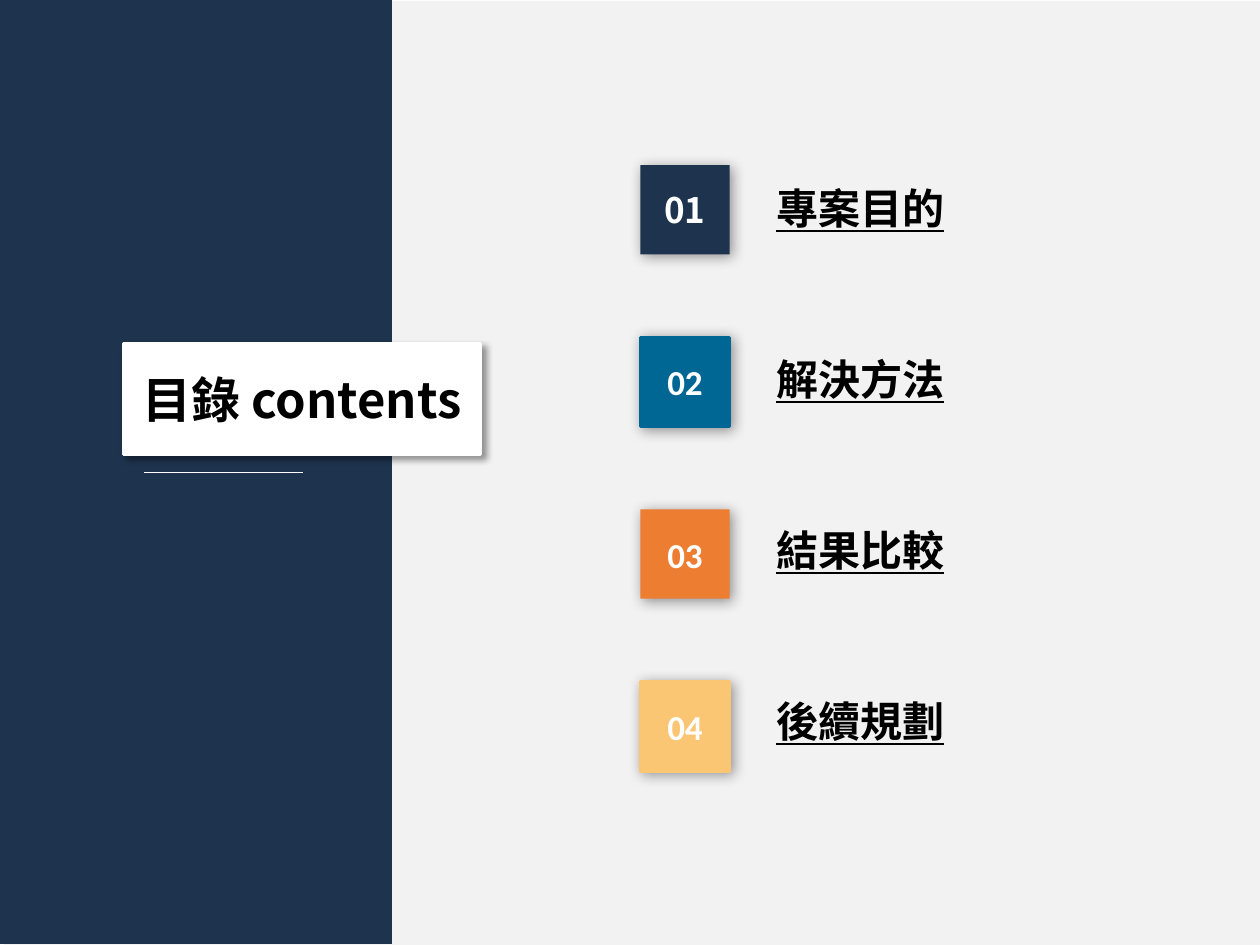
import pptx
import pptx.util
import pptx.dml.color
import pptx.enum.shapes
import pptx.enum.text
import pptx.oxml
import pptx.oxml.ns
from pptx.util import Cm

NAVY, WHITE, BLACK = "1E344E", "FFFFFF", "000000"
NOTO, CALIBRI = "Noto Sans CJK SC", "Calibri"
SHADE = (
    '<a:effectLst {ns}><a:outerShdw blurRad="{blur}" dist="{dist}" dir="2700000" '
    'algn="tl" rotWithShape="0"><a:srgbClr val="000000"><a:alpha val="40000"/>'
    "</a:srgbClr></a:outerShdw></a:effectLst>"
)


def color(code):
    return pptx.dml.color.RGBColor.from_string(code)


class Deck:
    def __init__(self):
        self.prs = pptx.Presentation()
        self.prs.slide_width, self.prs.slide_height = Cm(25.4), Cm(19.05)
        self.slide = self.prs.slides.add_slide(self.prs.slide_layouts[6])

    def style(self, frame, text, size, ink, font=NOTO, line=False):
        frame.text = text
        para = frame.paragraphs[0]
        para.alignment = pptx.enum.text.PP_ALIGN.CENTER
        run = para.runs[0]
        run.font.size, run.font.bold = pptx.util.Pt(size), True
        run.font.name, run.font.underline = font, line
        run.font.color.rgb = color(ink)
        # East Asian glyphs need their own font entry
        east = pptx.oxml.parse_xml(
            f'<a:ea {pptx.oxml.ns.nsdecls("a")} typeface="{NOTO}"/>')
        run.font._element.append(east)

    def rect(self, box, fill, edge=False):
        kind = pptx.enum.shapes.MSO_SHAPE.RECTANGLE
        shape = self.slide.shapes.add_shape(kind, *map(Cm, box))
        shape.shadow.inherit = False
        shape.fill.solid()
        shape.fill.fore_color.rgb = color(fill)
        if edge:
            shape.line.color.rgb = color(fill)
            shape.line.width = pptx.util.Pt(2)
        else:
            shape.line.fill.background()
        return shape

    def card(self, box, fill, text, size, ink, font, edge, blur, dist):
        shape = self.rect(box, fill, edge)
        props = shape._element.spPr
        props.remove(props.find(pptx.oxml.ns.qn("a:effectLst")))
        props.append(pptx.oxml.parse_xml(SHADE.format(
            ns=pptx.oxml.ns.nsdecls("a"),
            blur=pptx.util.Pt(blur), dist=pptx.util.Pt(dist))))
        shape.text_frame.vertical_anchor = pptx.enum.text.MSO_ANCHOR.MIDDLE
        self.style(shape.text_frame, text, size, ink, font)

    def label(self, box, text):
        frame = self.slide.shapes.add_textbox(*map(Cm, box)).text_frame
        frame.word_wrap = False
        self.style(frame, text, 24, BLACK, line=True)

    def rule(self, left, top, right):
        kind = pptx.enum.shapes.MSO_CONNECTOR.STRAIGHT
        line = self.slide.shapes.add_connector(
            kind, Cm(left), Cm(top), Cm(right), Cm(top))
        line.line.color.rgb = color(WHITE)
        line.line.width = pptx.util.Pt(0.75)
        line._element.spPr.append(pptx.oxml.parse_xml(
            f'<a:effectLst {pptx.oxml.ns.nsdecls("a")}/>'))


def main():
    deck = Deck()

    # Background panels
    deck.rect((0.08, 0.02, 25.4, 19.03), "F2F2F2")
    deck.rect((0, -0.02, 7.9, 19.05), NAVY)

    # Title card and rule
    deck.card((2.49, 6.93, 7.2, 2.23), WHITE, "目錄 contents",
              28, BLACK, NOTO, True, 4, 3)
    deck.rule(2.9, 9.52, 6.1)

    # Numbered topics
    topics = [
        ("專案目的", NAVY, NOTO, False),
        ("解決方法", "006794", CALIBRI, True),
        ("結果比較", "ED7D31", CALIBRI, False),
        ("後續規劃", "FAC674", CALIBRI, True),
    ]
    for i, (text, fill, font, edge) in enumerate(topics):
        deck.card((12.91, 3.33 + 3.47 * i, 1.8, 1.8), fill, f"{i + 1:02}",
                  20, WHITE, font, edge, 8, 2)
        deck.label((15.37, 3.55 + 3.45 * i, 3.94, 1.28), text)

    deck.prs.save("out.pptx")


if __name__ == "__main__":
    main()
